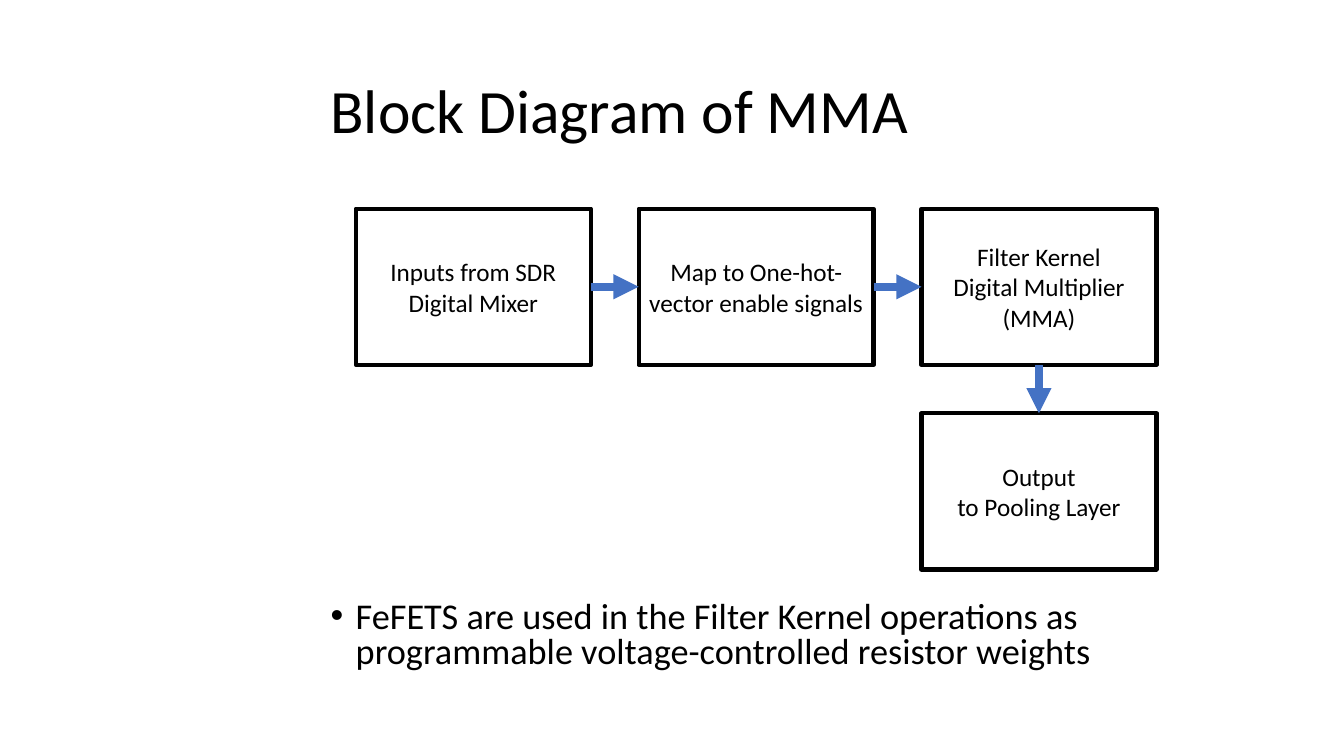
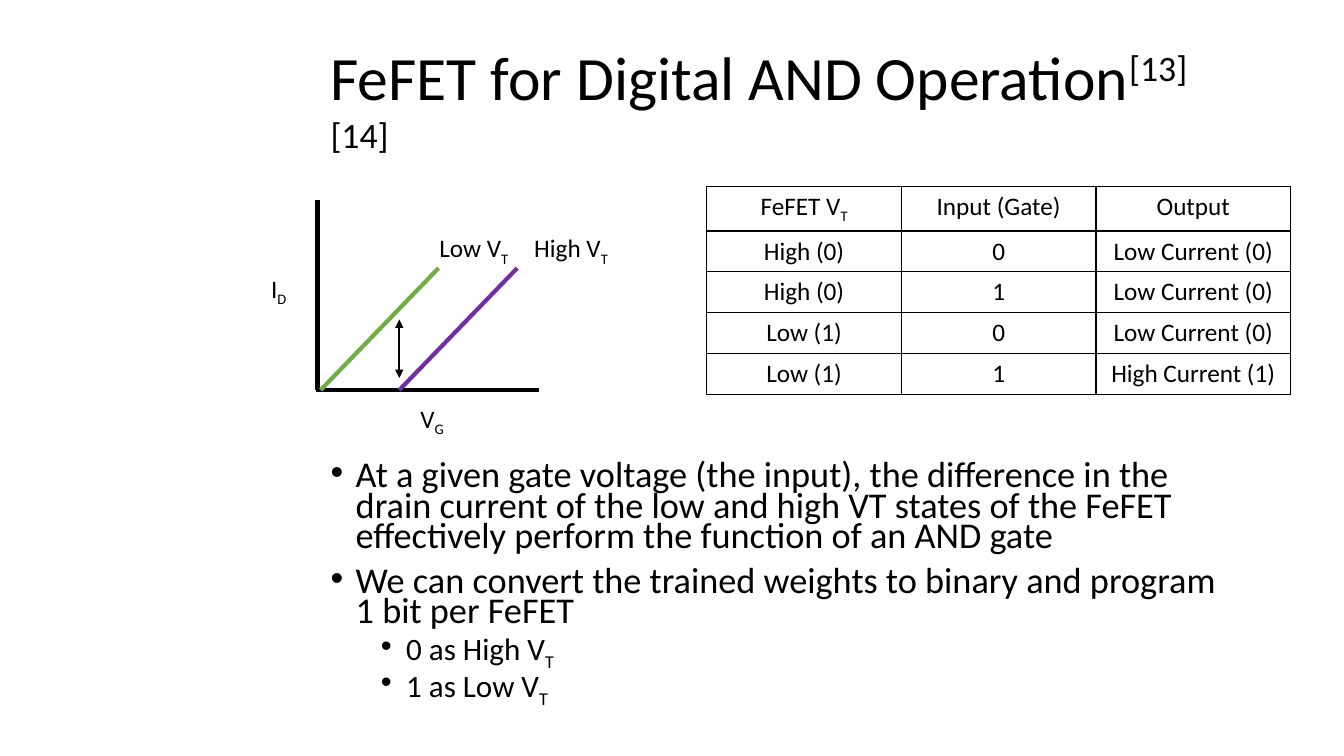
from itertools import pairwise

from lxml.etree import SubElement
from pptx import Presentation
from pptx.dml.color import RGBColor
from pptx.enum.shapes import MSO_CONNECTOR as LINK, MSO_SHAPE as SHAPE
from pptx.enum.text import MSO_ANCHOR as ANCHOR, PP_ALIGN as ALIGN
from pptx.oxml.ns import qn
from pptx.util import Inches, Pt

FONT = "Calibri"
INK, BLUE, GREEN, PURPLE = "000000", "4472C4", "70AD47", "7030A0"
LABEL_SIZE = 18
SHIFTS = {"_": -25000, "^": 30000}
TITLE_BOX = (31.8, 4, 92.4, 14.5)
BULLET_STYLES = [(25.9, 10, 0.25), (22.2, 5, 0.75)]


def u(n):
    """Return the length of n grid cells, ten to the inch."""
    return Inches(n / 10)


def paint(color_format, code):
    """Set a colour from its hex string."""
    color_format.rgb = RGBColor.from_string(code)


def write(p, text, size, align=None):
    """Write one paragraph; _ starts a subscript and ^ a superscript."""
    mark = next((m for m in SHIFTS if m in text), None)
    for i, part in enumerate(text.split(mark) if mark else [text]):
        r = p.add_run()
        r.text = part
        r.font.name, r.font.size = FONT, Pt(size)
        paint(r.font.color, INK)
        if i:
            r.font._element.set("baseline", str(SHIFTS[mark]))
    p.alignment = align


def add_text(s, box, text, size=LABEL_SIZE):
    """Add a wrapping text box holding one paragraph."""
    sp = s.shapes.add_textbox(*map(u, box))
    sp.text_frame.word_wrap = True
    write(sp.text_frame.paragraphs[0], text, size)
    return sp


def add_title(s, text):
    """Add the slide title."""
    tf = add_text(s, TITLE_BOX, text, 44).text_frame
    tf.vertical_anchor = ANCHOR.MIDDLE
    tf.paragraphs[0].line_spacing = 0.9


def add_bullets(s, box, items, spacing):
    """Add bulleted paragraphs given as (level, text)."""
    tf = s.shapes.add_textbox(*map(u, box)).text_frame
    tf.word_wrap = True
    for i, (level, text) in enumerate(items):
        p = tf.add_paragraph() if i else tf.paragraphs[0]
        size, before, indent = BULLET_STYLES[level]
        write(p, text, size)
        p.level, p.line_spacing, p.space_before = level, spacing, Pt(before)
        pPr = p._p.get_or_add_pPr()
        pPr.set("marL", str(Inches(indent)))
        pPr.set("indent", str(Inches(-0.25)))
        SubElement(pPr, qn("a:buFont")).set("typeface", "Arial")
        SubElement(pPr, qn("a:buChar")).set("char", "•")


def add_line(s, start, end, color, width, heads=()):
    """Add a straight line with triangles at the named ends."""
    c = s.shapes.add_connector(LINK.STRAIGHT, *map(u, (*start, *end)))
    paint(c.line.color, color)
    c.line.width = Pt(width)
    spPr = c.element.spPr
    for head in heads:
        SubElement(spPr.find(qn("a:ln")), qn(f"a:{head}")).set("type", "triangle")
    SubElement(spPr, qn("a:effectLst"))
    return c


def add_block(s, box, lines):
    """Add an outlined block with centred lines of text."""
    sp = s.shapes.add_shape(SHAPE.RECTANGLE, *map(u, box))
    sp.shadow.inherit = False
    sp.fill.background()
    paint(sp.line.color, INK)
    sp.line.width = Pt(3)
    tf = sp.text_frame
    tf.word_wrap, tf.vertical_anchor = True, ANCHOR.MIDDLE
    for i, line in enumerate(lines):
        p = tf.add_paragraph() if i else tf.paragraphs[0]
        write(p, line, LABEL_SIZE, ALIGN.CENTER)


def add_flow(s, box, blocks):
    """Lay out (column, row, lines) blocks and join each to the next."""
    left, top, width, height = box
    w, h = 23.3, 15.5
    step_x, step_y = (width - w) / 2, height - h
    spots = [(left + col * step_x, top + row * step_y) for col, row, _ in blocks]
    for (x, y), (_, _, lines) in zip(spots, blocks):
        add_block(s, (x, y, w, h), lines)
    for (x, y), (next_x, next_y) in pairwise(spots):
        if y == next_y:
            start, end = (x + w, y + h / 2), (next_x, y + h / 2)
        else:
            start, end = (x + w / 2, y + h), (x + w / 2, next_y)
        add_line(s, start, end, BLUE, 6, ["tailEnd"])


def add_curves(s, box):
    """Sketch drain current against gate voltage for both states."""
    left, top, width, height = box

    def at(x, y):
        return left + x, top + y

    add_line(s, at(0, 0), at(0, height), INK, 3)
    add_line(s, at(width, height), at(-0.2, height), INK, 3)
    for x, color in ((8.1, PURPLE), (0.3, GREEN)):
        add_line(s, at(x, height), at(x + 11.7, 6.8), color, 3)
    add_line(s, at(8.1, 11.9), at(8.1, 17.7), INK, 1.5, ["headEnd", "tailEnd"])
    labels = [("I_D", -5.6, 6.8), ("V_G", 9.2, 19.7),
              ("Low V_T", 11.1, 2.8), ("High V_T", 20.5, 2.8)]
    for text, x, y in labels:
        add_text(s, (*at(x, y), 10.5 if " " in text else 5.7, 4), text)


def add_truth_table(s, box, rows):
    """Add a plain ruled table."""
    table = s.shapes.add_table(len(rows), len(rows[0]), *map(u, box)).table
    table.first_row = table.horz_banding = False
    for i, row in enumerate(rows):
        for j, text in enumerate(row):
            cell = table.cell(i, j)
            write(cell.text_frame.paragraphs[0], text, LABEL_SIZE, ALIGN.CENTER)
            tcPr = cell._tc.get_or_add_tcPr()
            for side in "LRTB":
                ln = SubElement(tcPr, qn(f"a:ln{side}"), w=str(Pt(1)))
                SubElement(SubElement(ln, qn("a:solidFill")), qn("a:srgbClr")).set("val", INK)
            cell.fill.background()


def build_diagram_slide(s):
    """Build the block diagram slide."""
    add_title(s, "Block Diagram of MMA")
    add_bullets(s, (31.8, 59.2, 92.4, 8.3), [
        (0, "FeFETS are used in the Filter Kernel operations as "
            "programmable voltage-controlled resistor weights"),
    ], 0.8)
    add_flow(s, (35.3, 20.7, 79.4, 35.8), [
        (0, 0, ["Inputs from SDR", "Digital Mixer"]),
        (1, 0, ["Map to One-hot-vector enable signals"]),
        (2, 0, ["Filter Kernel", "Digital Multiplier (MMA)"]),
        (2, 1, ["Output", "to Pooling Layer"]),
    ])


def build_and_slide(s):
    """Build the AND operation slide."""
    add_title(s, "FeFET for Digital AND Operation^[13][14]")
    add_bullets(s, (31.8, 45.5, 92.4, 25.4), [
        (0, "At a given gate voltage (the input), the difference in the drain "
            "current of the low and high VT states of the FeFET effectively "
            "perform the function of an AND gate"),
        (0, "We can convert the trained weights to binary and program 1 bit per FeFET"),
        (1, "0 as High V_T"),
        (1, "1 as Low V_T"),
    ], 0.7)
    add_truth_table(s, (70.1, 18.5, 57.9, 20.3), [
        ("FeFET V_T", "Input (Gate)", "Output"),
        ("High (0)", "0", "Low Current (0)"),
        ("High (0)", "1", "Low Current (0)"),
        ("Low (1)", "0", "Low Current (0)"),
        ("Low (1)", "1", "High Current (1)"),
    ])
    add_curves(s, (31.5, 19.8, 22, 18.9))


def main():
    """Build and save the presentation."""
    prs = Presentation()
    prs.slide_width, prs.slide_height = Inches(13.33), Inches(7.5)
    for build in (build_diagram_slide, build_and_slide):
        build(prs.slides.add_slide(prs.slide_layouts[6]))
    prs.save("out.pptx")


if __name__ == "__main__":
    main()
